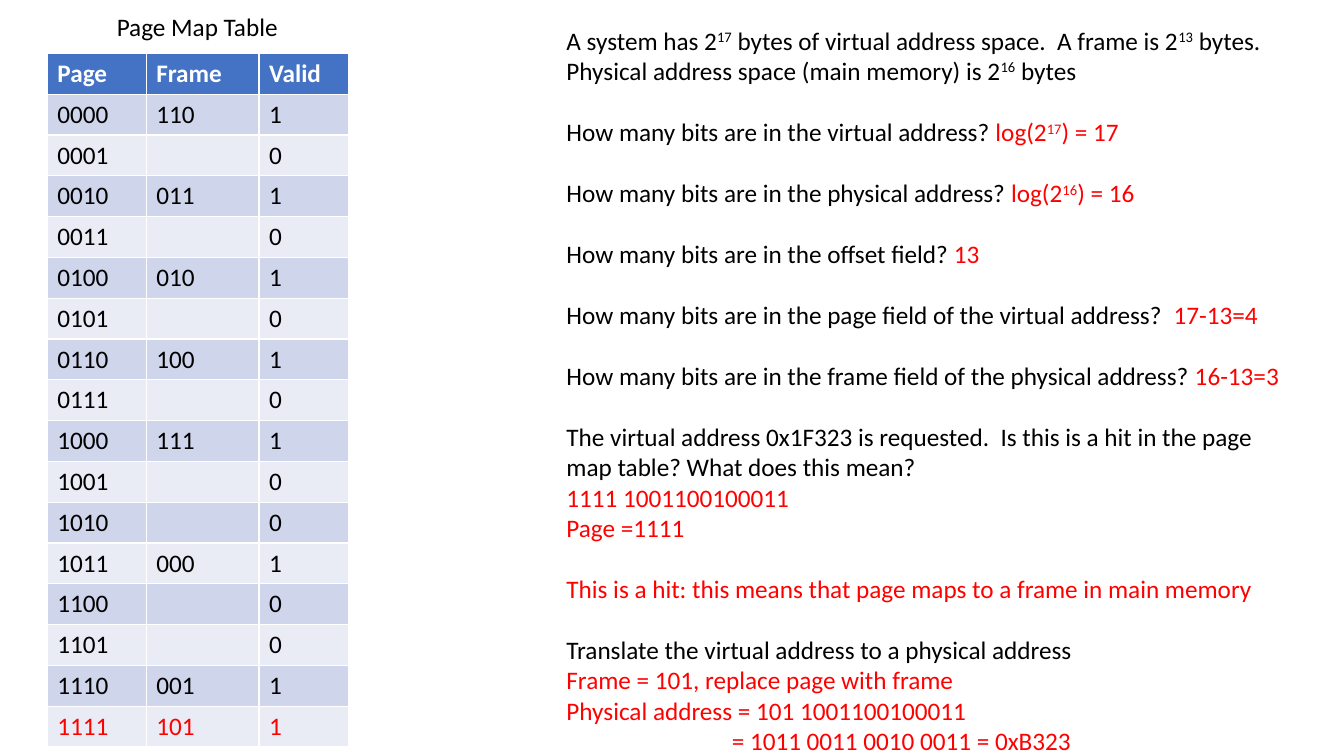
from pptx import Presentation
from pptx.dml.color import RGBColor
from pptx.util import Inches, Pt

BLACK = RGBColor(0x00, 0x00, 0x00)
WHITE = RGBColor(0xFF, 0xFF, 0xFF)
RED = RGBColor(0xFF, 0x00, 0x00)
HEADER_BLUE = RGBColor(0x44, 0x72, 0xC4)
BANDS = (RGBColor(0xE9, 0xEB, 0xF5), RGBColor(0xCF, 0xD5, 0xEA))
FONT, SIZE = "Calibri", Pt(18)
BLANK_LINE = Pt(22)

COLUMNS = {"Page": 0.98, "Frame": 1.12, "Valid": 0.89}
ROW_HEIGHT = Inches(0.405)
FRAMES = ["110", "", "011", "", "010", "", "100", "",
          "111", "", "", "000", "", "", "001", "101"]
REQUESTED_PAGE = 0b1111

# Each block is a list of lines, each line a (question, answer) pair.
# Text between carets is superscript.
BLOCKS = [
    [("A system has 2^17^ bytes of virtual address space.  A frame is 2^13^ bytes.  "
      "Physical address space (main memory) is 2^16^ bytes", "")],
    [("How many bits are in the virtual address? ", "log(2^17^) = 17")],
    [("How many bits are in the physical address? ", "log(2^16^) = 16")],
    [("How many bits are in the offset field? ", "13")],
    [("How many bits are in the page field of the virtual address?  ", "17-13=4")],
    [("How many bits are in the frame field of the physical address? ", "16-13=3")],
    [("The virtual address 0x1F323 is requested.  Is this is a hit in the page "
      "map table? What does this mean?", ""),
     ("", "1111 1001100100011"),
     ("", "Page =1111")],
    [("", "This is a hit: this means that page maps to a frame in main memory")],
    [("Translate the virtual address to a physical address", ""),
     ("", "Frame = 101, replace page with frame"),
     ("", "Physical address = 101 1001100100011"),
     ("", "= 1011 0011 0010 0011 = 0xB323")],
]


def set_font(p, color=None, bold=None):
    p.font.name, p.font.size, p.font.bold = FONT, SIZE, bold
    if color is not None:
        p.font.color.rgb = color


def add_runs(p, text, color):
    """Add text to the paragraph, raising the parts between carets."""
    for i, part in enumerate(text.split("^")):
        if part:
            r = p.add_run()
            r.text = part
            r.font.color.rgb = color
            if i % 2:
                r._r.get_or_add_rPr().set("baseline", "30000")


prs = Presentation()
prs.slide_width, prs.slide_height = Inches(13.33), Inches(7.5)
s = prs.slides.add_slide(prs.slide_layouts[6])

# Table title
title = s.shapes.add_textbox(Inches(1.06), Inches(0.06), Inches(1.82), Inches(0.4))
title.text_frame.word_wrap = False
p = title.text_frame.paragraphs[0]
p.text = "Page Map Table"
set_font(p, BLACK)

# Questions and answers
questions = s.shapes.add_textbox(Inches(5.52), Inches(0.2), Inches(7.5), Inches(7.3))
tf = questions.text_frame
tf.word_wrap = True
p = None
for block in BLOCKS:
    for line, (question, answer) in enumerate(block):
        first = p is None
        p = tf.paragraphs[0] if first else tf.add_paragraph()
        if line == 0 and not first:
            p.space_before = BLANK_LINE
        if answer.startswith("="):
            p._p.get_or_add_pPr().set("marL", str(Inches(1.64)))
        set_font(p)
        add_runs(p, question, BLACK)
        add_runs(p, answer, RED)

# Page map table
rows = [list(COLUMNS)] + [[f"{page:04b}", frame, "1" if frame else "0"]
                          for page, frame in enumerate(FRAMES)]
table = s.shapes.add_table(len(rows), len(COLUMNS), Inches(0.47), Inches(0.53),
                           Inches(sum(COLUMNS.values())), ROW_HEIGHT * len(rows)).table
for column, width in zip(table.columns, COLUMNS.values()):
    column.width = Inches(width)
for i, values in enumerate(rows):
    table.rows[i].height = ROW_HEIGHT
    header = i == 0
    color = WHITE if header else RED if i - 1 == REQUESTED_PAGE else BLACK
    for cell, value in zip(table.rows[i].cells, values):
        cell.fill.solid()
        cell.fill.fore_color.rgb = HEADER_BLUE if header else BANDS[i % 2]
        p = cell.text_frame.paragraphs[0]
        p.text = value
        set_font(p, color, bold=header)

prs.save("out.pptx")
